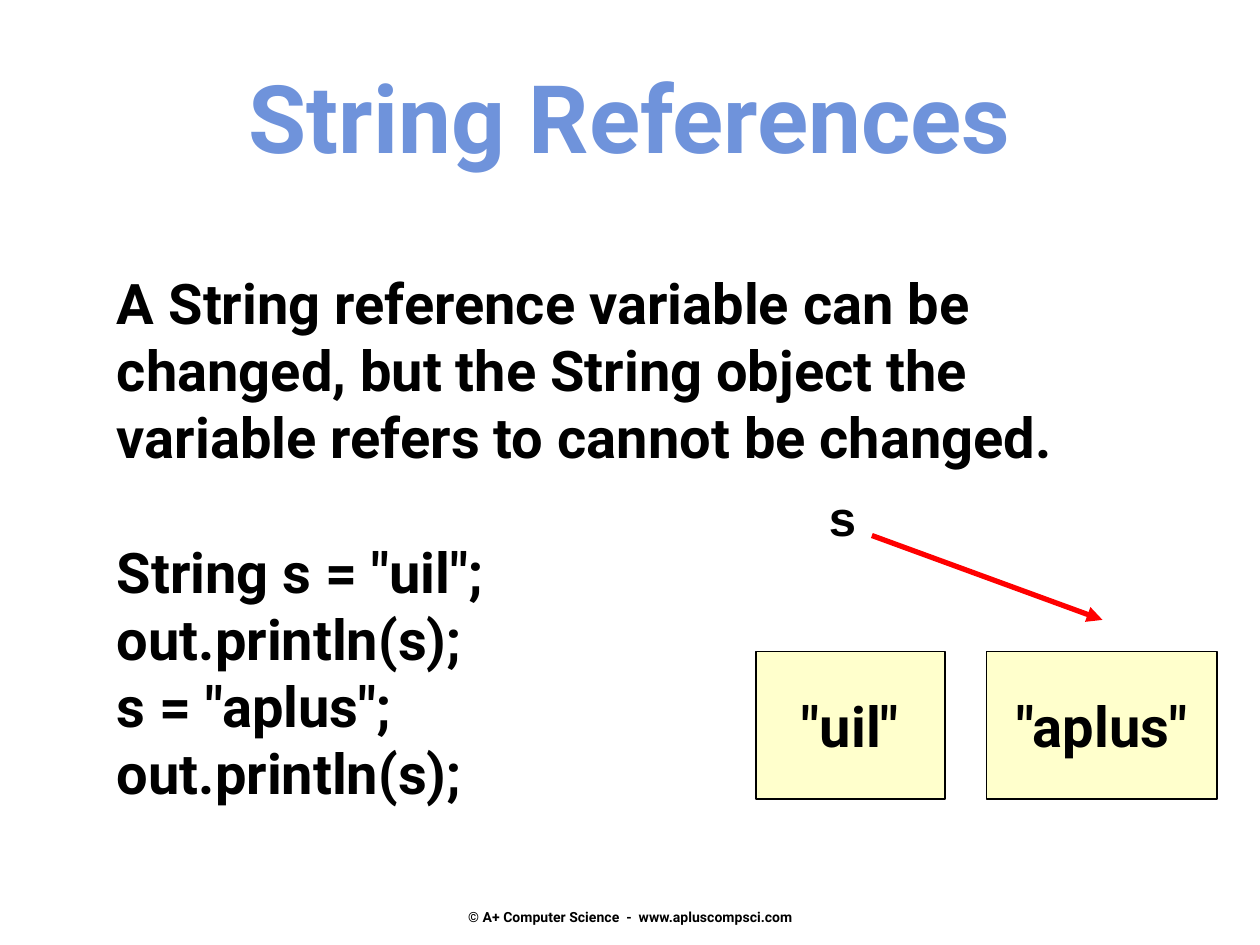
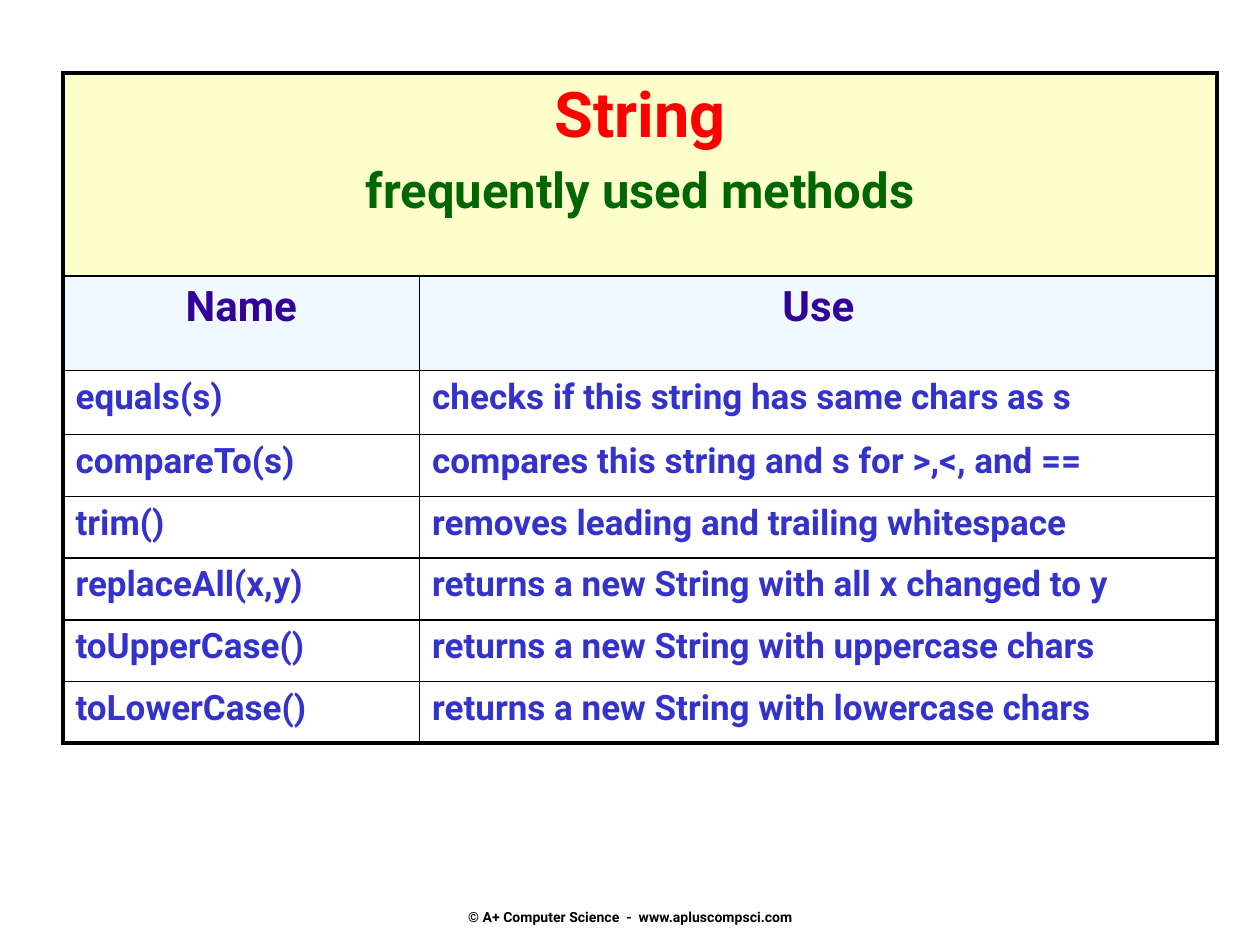
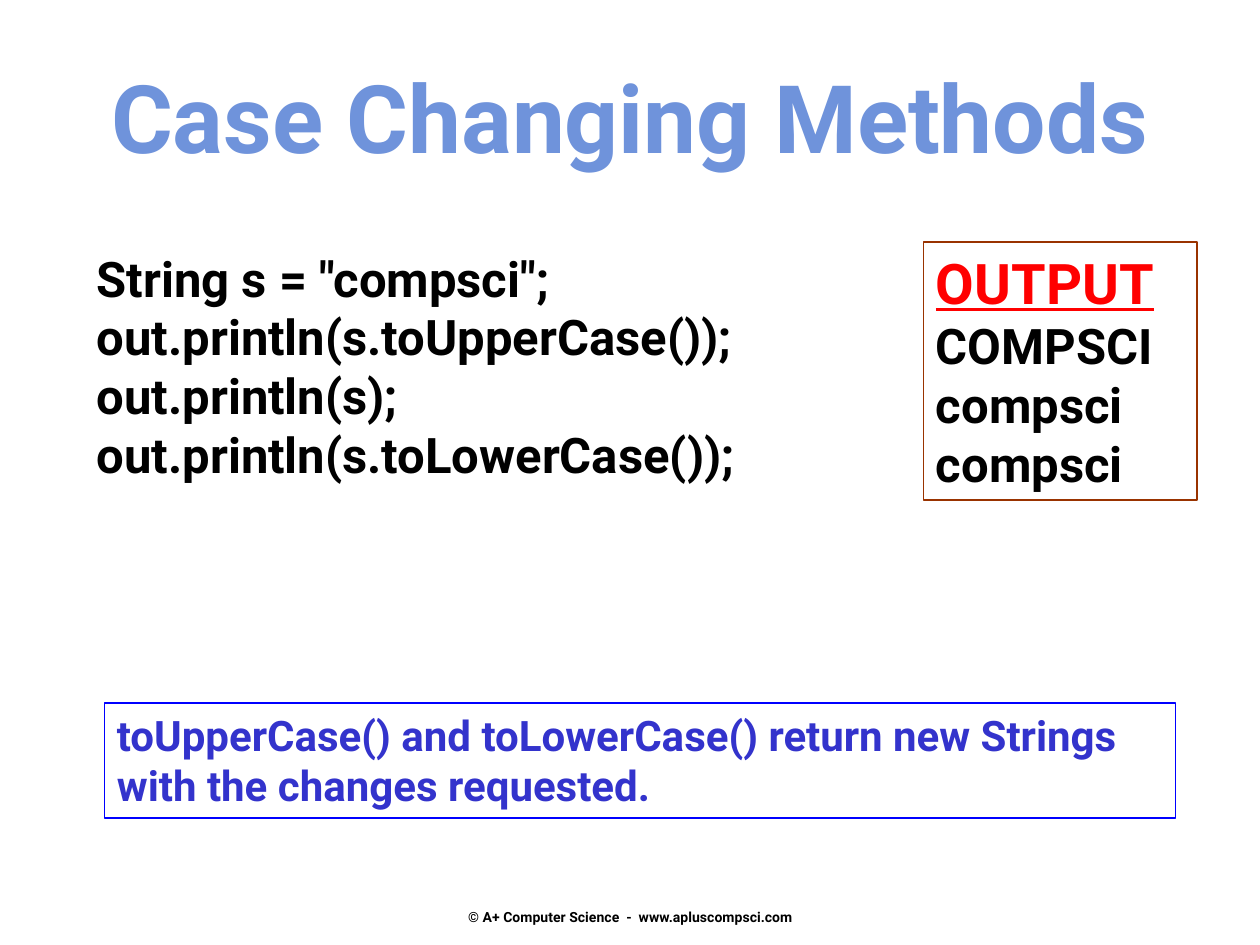
"""Builds three lesson slides on String references and String methods."""
from lxml import etree
from pptx import Presentation
from pptx import util as u
from pptx.dml.color import RGBColor
from pptx.enum import shapes, text
from pptx.oxml import ns

FONT = "Roboto"
COLORS = {
    "title": "6F93DB", "black": "000000", "red": "FF0000", "green": "006600",
    "indigo": "330099", "blue": "3333CC", "frame_blue": "0000FF",
    "brown": "993300", "cream": "FFFFCC", "pale_blue": "F0F9FF",
}
THIN, THICK = 1, 2.25
LEFT, CENTER = text.PP_ALIGN.LEFT, text.PP_ALIGN.CENTER
TOP, MIDDLE = text.MSO_ANCHOR.TOP, text.MSO_ANCHOR.MIDDLE

FOOTER = "© A+ Computer Science  -  www.apluscompsci.com"
REFERENCE_RULE = [
    "A String reference variable can be\vchanged, but the String object the",
    "variable refers to cannot be changed.",
]
REFERENCE_CODE = ['String s = "uil";', "out.println(s);", 's = "aplus";', "out.println(s);"]
STRING_OBJECTS = [('"uil"', 6, 1.5), ('"aplus"', 7.83, 1.83)]
METHOD_TITLE = ["String", "frequently used methods"]
METHOD_HEADER = ("Name", "Use")
METHODS = [
    ("equals(s)", "checks if this string has same chars as s"),
    ("compareTo(s)", "compares this string and s for >,<, and =="),
    ("trim()", "removes leading and trailing whitespace"),
    ("replaceAll(x,y)", "returns a new String with all x changed to y"),
    ("toUpperCase()", "returns a new String with uppercase chars"),
    ("toLowerCase()", "returns a new String with lowercase chars"),
]
COLUMN_WIDTHS = [2.83, 6.33]
ROW_HEIGHTS = [1.61, 0.75, 0.51] + [0.49] * (len(METHODS) - 1)
CASE_CODE = [
    'String s = "compsci";', "out.println(s.toUpperCase());",
    "out.println(s);", "out.println(s.toLowerCase());",
]
CASE_OUTPUT = ["OUTPUT", "COMPSCI", "compsci", "compsci"]
CASE_NOTE = "toUpperCase() and toLowerCase() return new Strings with the changes requested."


def rgb(name):
    return RGBColor.from_string(COLORS[name])


def format_paragraph(paragraph, size, color="black", align=LEFT, font=FONT):
    paragraph.alignment = align
    for run in paragraph.runs:
        run.font.name = font
        run.font.size = u.Pt(size)
        run.font.bold = True
        run.font.color.rgb = rgb(color)


def write(frame, lines, size, color="black", align=LEFT, anchor=TOP, font=FONT):
    frame.word_wrap = True
    frame.vertical_anchor = anchor
    for index, line in enumerate(lines):
        paragraph = frame.add_paragraph() if index else frame.paragraphs[0]
        paragraph.text = line
        format_paragraph(paragraph, size, color, align, font)
    return frame.paragraphs


def add_text(slide, box, lines, size, **style):
    shape = slide.shapes.add_textbox(*map(u.Inches, box))
    return write(shape.text_frame, lines, size, **style)


def add_box(slide, box, lines, size, line="black", fill=None, **style):
    shape = slide.shapes.add_shape(shapes.MSO_SHAPE.RECTANGLE, *map(u.Inches, box))
    shape.shadow.inherit = False
    if fill:
        shape.fill.solid()
        shape.fill.fore_color.rgb = rgb(fill)
    else:
        shape.fill.background()
    shape.line.color.rgb = rgb(line)
    shape.line.width = u.Pt(THIN)
    return write(shape.text_frame, lines, size, **style)


def add_arrow(slide, start, end, color, width):
    arrow = slide.shapes.add_connector(
        shapes.MSO_CONNECTOR.STRAIGHT, *map(u.Inches, start + end))
    arrow.line.color.rgb = rgb(color)
    arrow.line.width = u.Pt(width)
    line = arrow.line._get_or_add_ln()
    etree.SubElement(line, ns.qn("a:tailEnd"), type="triangle")
    etree.SubElement(arrow._element.spPr, ns.qn("a:effectLst"))


def set_borders(cell, widths):
    properties = cell._tc.get_or_add_tcPr()
    for position, (side, width) in enumerate(widths.items()):
        line = etree.Element(ns.qn(f"a:ln{side}"), w=str(u.Pt(width)))
        fill = etree.SubElement(line, ns.qn("a:solidFill"))
        etree.SubElement(fill, ns.qn("a:srgbClr"), val=COLORS["black"])
        properties.insert(position, line)


def add_slide(presentation, title=None):
    slide = presentation.slides.add_slide(presentation.slide_layouts[6])
    add_text(slide, (3.42, 7.03, 3.17, 0.5), [FOOTER], 8, align=CENTER, anchor=MIDDLE)
    if title:
        add_text(slide, (0, 0.42, 10, 1.01), [title], 54, color="title", align=CENTER)
    return slide


def build_references(presentation):
    slide = add_slide(presentation, "String References")
    paragraphs = add_text(
        slide, (0.83, 2.08, 8.6, 4.41), REFERENCE_RULE + REFERENCE_CODE, 32)
    paragraphs[len(REFERENCE_RULE)].space_before = u.Pt(38.5)
    add_text(slide, (6.48, 3.82, 0.42, 0.57), ["s"], 28, font="Arial")
    for value, left, width in STRING_OBJECTS:
        add_box(slide, (left, 5.17, width, 1.17), [value], 32,
                fill="cream", align=CENTER, anchor=MIDDLE)
    add_arrow(slide, (6.92, 4.25), (8.75, 4.92), "red", 3)


def build_methods(presentation):
    slide = add_slide(presentation)
    last_row, last_column = len(ROW_HEIGHTS) - 1, len(COLUMN_WIDTHS) - 1
    box = (0.5, 0.58, sum(COLUMN_WIDTHS), sum(ROW_HEIGHTS))
    table = slide.shapes.add_table(
        last_row + 1, last_column + 1, *map(u.Inches, box)).table
    table.first_row = table.horz_banding = False
    for column, width in zip(table.columns, COLUMN_WIDTHS):
        column.width = u.Inches(width)
    for row, height in zip(table.rows, ROW_HEIGHTS):
        row.height = u.Inches(height)
    table.cell(0, 0).merge(table.cell(0, last_column))

    heading = write(table.cell(0, 0).text_frame, METHOD_TITLE, 36, "red", CENTER)
    format_paragraph(heading[1], 28, "green", CENTER)
    heading[1].space_before = u.Pt(5.6)
    for row, values in enumerate([METHOD_HEADER] + METHODS, start=1):
        style = (24, "indigo", CENTER) if row == 1 else (20, "blue", LEFT)
        for column, value in enumerate(values):
            write(table.cell(row, column).text_frame, [value], *style)

    row_fills = {0: "cream", 1: "pale_blue"}
    for row in range(last_row + 1):
        for column in range(last_column + 1):
            cell = table.cell(row, column)
            if row in row_fills:
                cell.fill.solid()
                cell.fill.fore_color.rgb = rgb(row_fills[row])
            else:
                cell.fill.background()
            set_borders(cell, {
                "L": THICK if column == 0 else THIN,
                "R": THICK if column == last_column or row == 0 else THIN,
                "T": THICK if row == 0 else THIN,
                "B": THICK if row == last_row else THIN,
            })


def build_case_changes(presentation):
    slide = add_slide(presentation, "Case Changing Methods")
    add_text(slide, (0.67, 1.92, 6.42, 1.97), CASE_CODE, 28)
    output = add_box(slide, (7.33, 1.92, 2.17, 2.05), CASE_OUTPUT, 28, line="brown")
    format_paragraph(output[0], 32, "red")
    output[0].runs[0].font.underline = True
    add_box(slide, (0.83, 5.58, 8.5, 0.91), [CASE_NOTE], 24,
            line="frame_blue", color="blue")


def main():
    presentation = Presentation()
    presentation.slide_width = u.Inches(10)
    presentation.slide_height = u.Inches(7.5)
    build_references(presentation)
    build_methods(presentation)
    build_case_changes(presentation)
    presentation.save("out.pptx")


if __name__ == "__main__":
    main()
